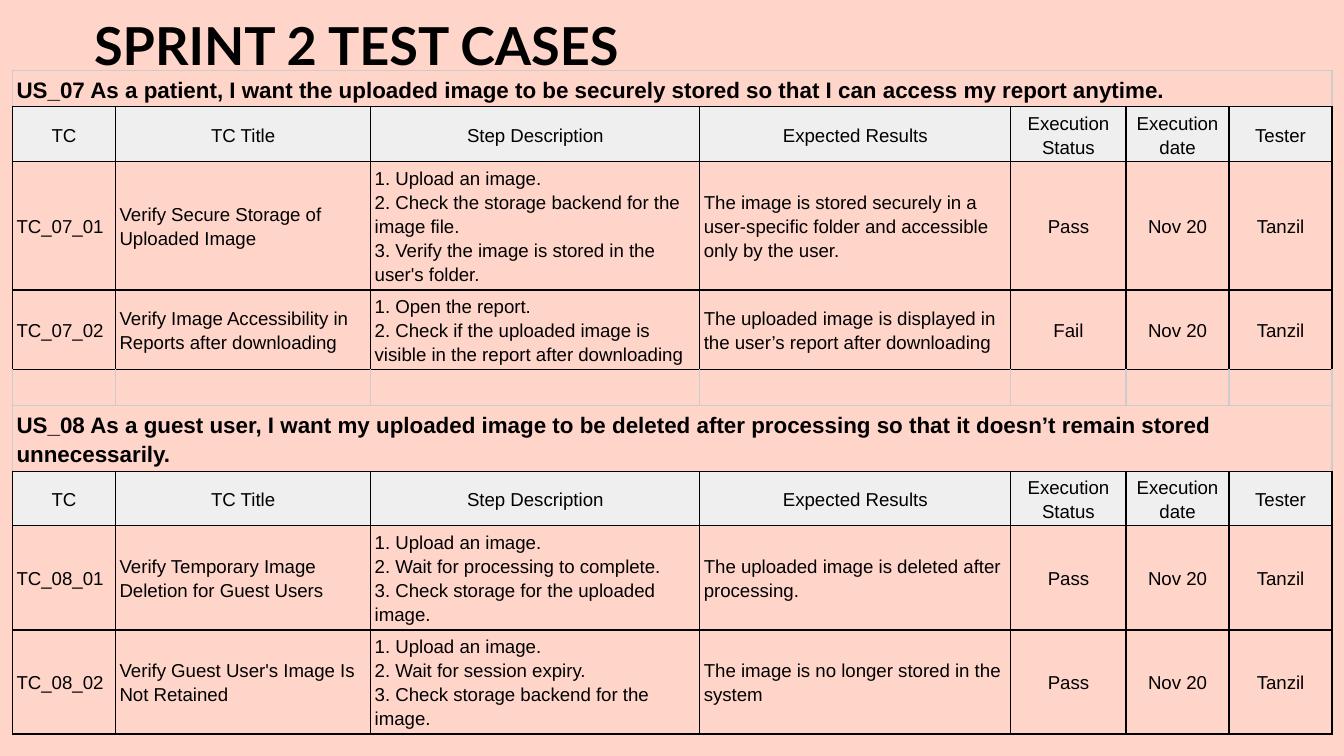
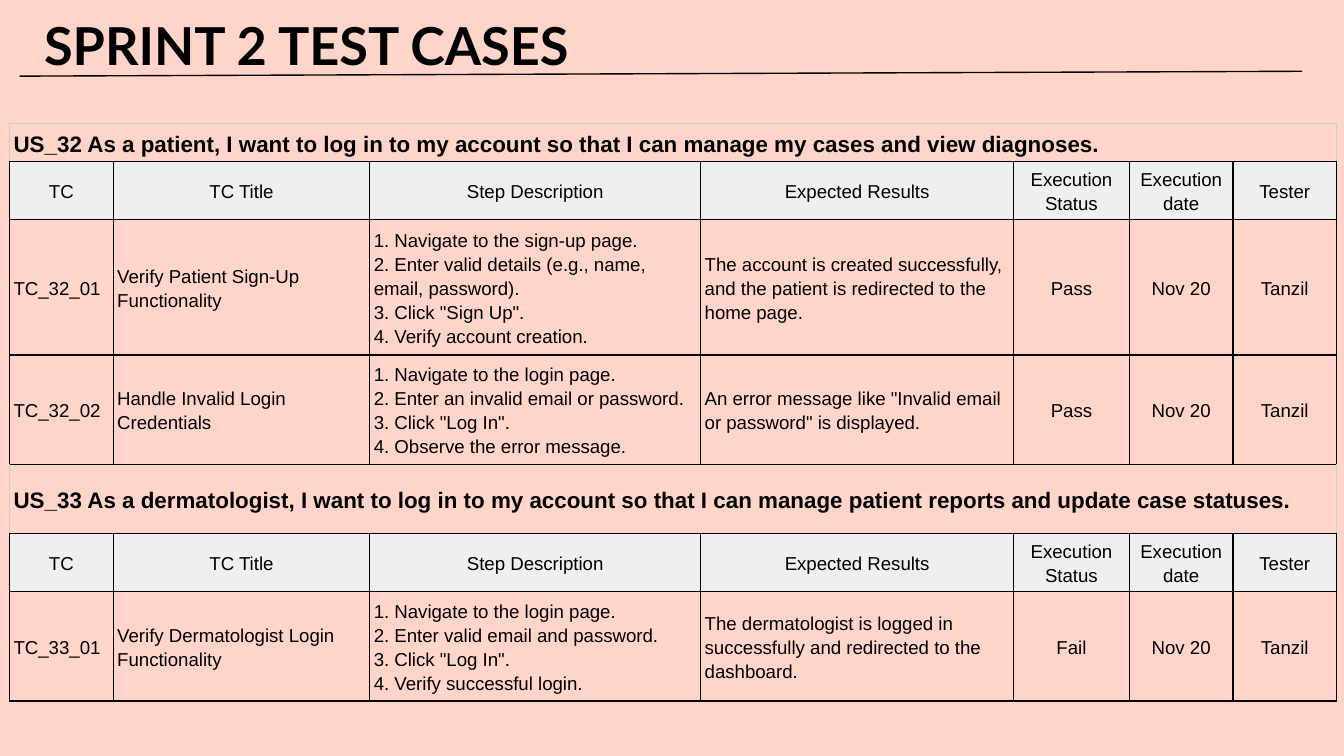
from lxml import etree
from pptx import Presentation
from pptx.dml.color import RGBColor
from pptx.enum.shapes import MSO_CONNECTOR
from pptx.enum.text import MSO_ANCHOR, MSO_AUTO_SIZE, PP_ALIGN
from pptx.oxml.ns import qn
from pptx.util import Pt

LEFT, CENTER = PP_ALIGN.LEFT, PP_ALIGN.CENTER
TOP, MIDDLE = MSO_ANCHOR.TOP, MSO_ANCHOR.MIDDLE
NO_AUTOFIT = MSO_AUTO_SIZE.NONE
STRAIGHT = MSO_CONNECTOR.STRAIGHT

COLORS = {
    "background": "FFD5CA",
    "text": "000000",
    "header": "EFEFEF",
    "border": "000000",
    "faint_border": "CCCCCC",
}
TITLE_FONT, TABLE_FONT = "Lato", "Arial"
STORY_SIZE, CELL_SIZE = 12, 10
LINE_WIDTH = 0.75
TITLE_ONLY = 5

HEADERS = ["TC", "TC Title", "Step Description", "Expected Results",
           "Execution Status", "Execution date", "Tester"]
ALIGNMENTS = [LEFT, LEFT, LEFT, LEFT, CENTER, CENTER, CENTER]
COLUMN_WIDTHS = [55.2, 136.7, 176.3, 166.7, 61.7, 55.2, 55.2]
EXECUTION_DATE, TESTER = "Nov 20", "Tanzil"


def story(text):
    return "story", [text]


def header():
    return "header", HEADERS


def case(number, title, steps, expected, status):
    """Steps are numbered here, one paragraph each."""
    numbered = "\n".join(f"{i}. {step}" for i, step in enumerate(steps, 1))
    return "case", [f"TC_{number}", title, numbered, expected, status,
                    EXECUTION_DATE, TESTER]


def gap():
    return "gap", [""] * len(HEADERS)


# Each entry is a row height in points and the row itself.
IMAGE_ROWS = [
    (19.5, story("US_07 As a patient, I want the uploaded image to be securely "
                 "stored so that I can access my report anytime.")),
    (29.2, header()),
    (68.9, case("07_01", "Verify Secure Storage of Uploaded Image",
                ["Upload an image.",
                 "Check the storage backend for the image file.",
                 "Verify the image is stored in the user's folder."],
                "The image is stored securely in a user-specific folder and "
                "accessible only by the user.", "Pass")),
    (42.8, case("07_02", "Verify Image Accessibility in Reports after downloading",
                ["Open the report.",
                 "Check if the uploaded image is visible in the report after "
                 "downloading"],
                "The uploaded image is displayed in the user’s report after "
                "downloading", "Fail")),
    (19.3, gap()),
    (35.1, story("US_08 As a guest user, I want my uploaded image to be deleted "
                 "after processing so that it doesn’t remain stored "
                 "unnecessarily.")),
    (29.2, header()),
    (55.8, case("08_01", "Verify Temporary Image Deletion for Guest Users",
                ["Upload an image.",
                 "Wait for processing to complete.",
                 "Check storage for the uploaded image."],
                "The uploaded image is deleted after processing.", "Pass")),
    (55.8, case("08_02", "Verify Guest User's Image Is Not Retained",
                ["Upload an image.",
                 "Wait for session expiry.",
                 "Check storage backend for the image."],
                "The image is no longer stored in the system", "Pass")),
]
LOGIN_ROWS = [
    (20.5, story("US_32 As a patient, I want to log in to my account so that I "
                 "can manage my cases and view diagnoses.")),
    (30.9, header()),
    (72.6, case("32_01", "Verify Patient Sign-Up Functionality",
                ["Navigate to the sign-up page.",
                 "Enter valid details (e.g., name, email, password).",
                 'Click "Sign Up".',
                 "Verify account creation."],
                "The account is created successfully, and the patient is "
                "redirected to the home page.", "Pass")),
    (58.7, case("32_02", "Handle Invalid Login Credentials",
                ["Navigate to the login page.",
                 "Enter an invalid email or password.",
                 'Click "Log In".',
                 "Observe the error message."],
                'An error message like "Invalid email or password" is displayed.',
                "Pass")),
    (37.1, story("US_33 As a dermatologist, I want to log in to my account so "
                 "that I can manage patient reports and update case statuses.")),
    (30.9, header()),
    (58.7, case("33_01", "Verify Dermatologist Login Functionality",
                ["Navigate to the login page.",
                 "Enter valid email and password.",
                 'Click "Log In".',
                 "Verify successful login."],
                "The dermatologist is logged in successfully and redirected to "
                "the dashboard.", "Fail")),
]


def rgb(name):
    return RGBColor.from_string(COLORS[name])


def add_run(paragraph, text, font_name, size, bold):
    run = paragraph.add_run()
    run.text = text
    run.font.name = font_name
    run.font.size = Pt(size)
    run.font.bold = bold
    run.font.color.rgb = rgb("text")


def add_titled_slide(presentation, title_left):
    slide = presentation.slides.add_slide(presentation.slide_layouts[TITLE_ONLY])
    title = slide.shapes.title
    title.left, title.top = Pt(title_left), Pt(0)
    title.width, title.height = Pt(607), Pt(45.4)
    frame = title.text_frame
    frame.word_wrap = True
    frame.auto_size = NO_AUTOFIT
    frame.vertical_anchor = TOP
    frame.margin_left = frame.margin_right = Pt(7.2)
    frame.margin_top = frame.margin_bottom = Pt(7.2)
    paragraph = frame.paragraphs[0]
    paragraph.alignment = LEFT
    add_run(paragraph, "SPRINT 2 TEST CASES", TITLE_FONT, 28, True)
    return slide


def set_borders(cell, sides):
    """Draw the left, right, top and bottom borders in the named colours."""
    properties = cell._tc.get_or_add_tcPr()
    for tag, color in zip(("a:lnL", "a:lnR", "a:lnT", "a:lnB"), sides):
        line = etree.SubElement(properties, qn(tag), w=str(Pt(LINE_WIDTH)))
        fill = etree.SubElement(line, qn("a:solidFill"))
        etree.SubElement(fill, qn("a:srgbClr"), val=COLORS[color])


def border_colors(kind, kind_above):
    if kind in ("header", "case"):
        return ["border"] * 4
    top = "border" if kind_above == "case" else "faint_border"
    bottom = "border" if kind == "story" else "faint_border"
    return ["faint_border", "faint_border", top, bottom]


def fill_cell(cell, text, size, bold, alignment):
    cell.vertical_anchor = MIDDLE
    cell.margin_left = cell.margin_right = Pt(2.2)
    cell.margin_top = cell.margin_bottom = Pt(1.4)
    frame = cell.text_frame
    for index, line in enumerate(text.split("\n")):
        paragraph = frame.add_paragraph() if index else frame.paragraphs[0]
        paragraph.alignment = alignment
        paragraph.line_spacing = 1.15
        if line:
            add_run(paragraph, line, TABLE_FONT, size, bold)
        else:
            paragraph._p.get_or_add_endParaRPr().set("sz", str(size * 100))


def add_test_table(slide, left, top, width, rows):
    height = sum(row_height for row_height, _ in rows)
    table = slide.shapes.add_table(len(rows), len(HEADERS), Pt(left), Pt(top),
                                   Pt(width), Pt(height)).table
    table.first_row = table.horz_banding = False
    scale = width / sum(COLUMN_WIDTHS)
    for column, column_width in zip(table.columns, COLUMN_WIDTHS):
        column.width = Pt(column_width * scale)

    kind_above = None
    for row, (row_height, (kind, texts)) in zip(table.rows, rows):
        row.height = Pt(row_height)
        cells = list(row.cells)
        for cell in cells:
            set_borders(cell, border_colors(kind, kind_above))
            if kind == "header":
                cell.fill.solid()
                cell.fill.fore_color.rgb = rgb("header")
            else:
                cell.fill.background()
        is_story = kind == "story"
        if is_story:
            cells[0].merge(cells[-1])
        size = STORY_SIZE if is_story else CELL_SIZE
        for cell, text, alignment in zip(cells, texts, ALIGNMENTS):
            fill_cell(cell, text, size, is_story,
                      CENTER if kind == "header" else alignment)
        kind_above = kind


def add_title_rule(slide):
    rule = slide.shapes.add_connector(STRAIGHT, Pt(10.5), Pt(40.8),
                                      Pt(697.6), Pt(38.2))
    rule.line.color.rgb = rgb("border")
    rule.line.width = Pt(LINE_WIDTH)
    etree.SubElement(rule._element.spPr, qn("a:effectLst"))


def main():
    presentation = Presentation()
    presentation.slide_width, presentation.slide_height = Pt(720), Pt(405)
    background = presentation.slide_master.background.fill
    background.solid()
    background.fore_color.rgb = rgb("background")

    image_slide = add_titled_slide(presentation, 43.2)
    add_test_table(image_slide, 6.7, 37.8, 707, IMAGE_ROWS)

    login_slide = add_titled_slide(presentation, 16.4)
    add_test_table(login_slide, 5.1, 66.2, 711, LOGIN_ROWS)
    add_title_rule(login_slide)

    presentation.save("out.pptx")


if __name__ == "__main__":
    main()
